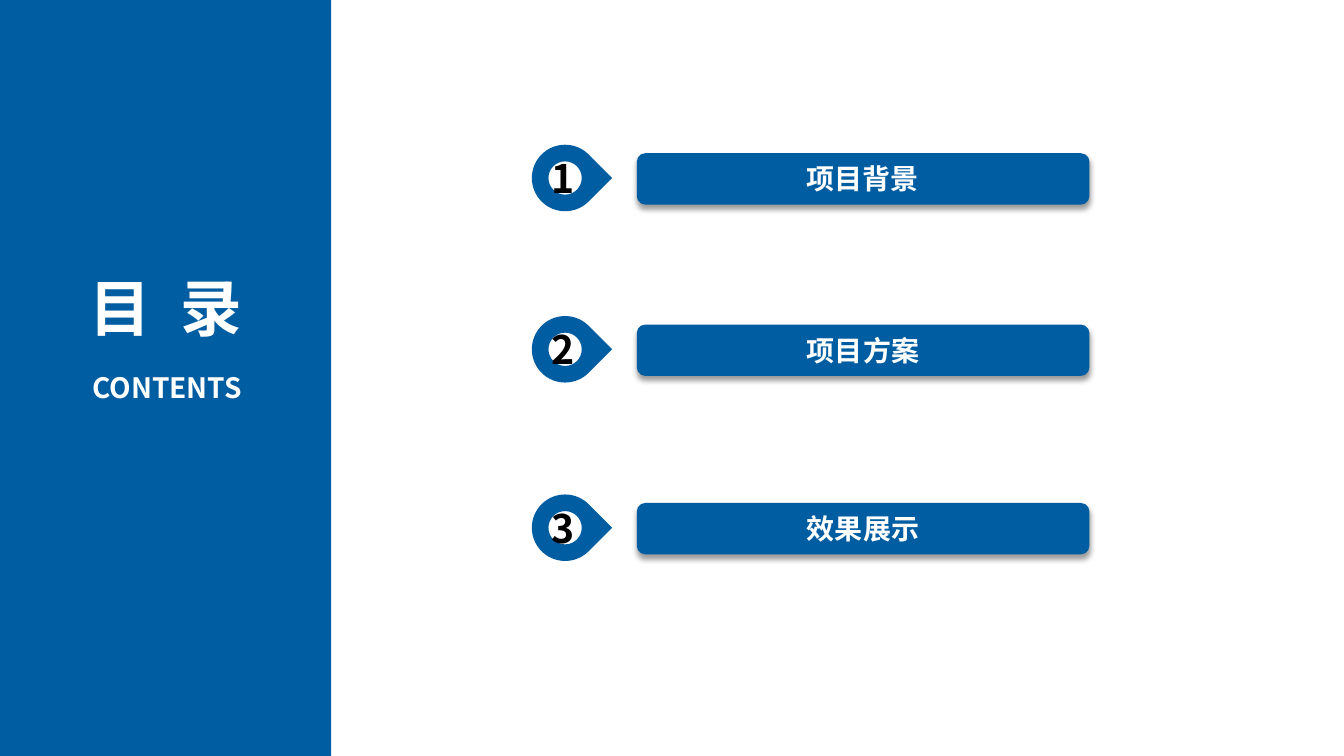
from dataclasses import dataclass
from math import cos, radians, sin, sqrt, tan

from lxml.etree import SubElement
from pptx import Presentation
from pptx.dml.color import RGBColor
from pptx.enum.shapes import MSO_SHAPE as Preset
from pptx.enum.text import MSO_ANCHOR as Anchor, MSO_AUTO_SIZE as AutoSize, PP_ALIGN as Align
from pptx.oxml.ns import qn
from pptx.util import Emu, Inches, Pt

BLUE = RGBColor(0x00, 0x5D, 0xA2)
WHITE = RGBColor(0xFF, 0xFF, 0xFF)
BLACK = RGBColor(0x00, 0x00, 0x00)
FONT = "Noto Sans CJK SC"
SLIDE_WIDTH, SLIDE_HEIGHT = Inches(13.33), Inches(7.5)

# Shares of the slide's size, in percent
BAR_LEFT, BAR_WIDTH, BAR_HEIGHT = 47.38, 33.68, 6.8
MARKER_CENTER, MARKER_RADIUS, MARKER_RISE = 42.05, 4.4, 0.13
NUMBER_LEFT, NUMBER_WIDTH, NUMBER_HEIGHT = 40.28, 3.3, 7.6
TITLE_LEFT, TITLE_WIDTH, TITLE_HEIGHT = 59.26, 9.9, 5.87

# Corners of the marker with its tip down: angle in degrees, distance in radii
OUTLINE = [(-90, 1), (-45, 1), (45, 1), (90, sqrt(2)), (135, 1), (225, 1), (270, 1)]
HOLE = [(angle, 0.5) for angle in range(0, -361, -90)]


@dataclass(frozen=True)
class Chapter:
    number: str
    title: str
    middle: float
    title_in_bar: bool = True


CHAPTERS = [
    Chapter("1", "项目背景", 23.67, title_in_bar=False),
    Chapter("2", "项目方案", 46.33),
    Chapter("3", "效果展示", 69.93),
]


def col(share: float) -> Emu:
    return Emu(round(SLIDE_WIDTH * share / 100))


def row(share: float) -> Emu:
    return Emu(round(SLIDE_HEIGHT * share / 100))


def area(left: float, top: float, width: float, height: float) -> tuple:
    return col(left), row(top), col(width), row(height)


def write(holder, text: str, *, size: float, color: RGBColor = WHITE,
          align: Align = Align.CENTER, anchor: Anchor = Anchor.TOP,
          wrap: bool = True, grow: bool = True, spacing: float = 0) -> None:
    """Put one bold line in a shape; spacing is between characters, in points."""
    frame = holder.text_frame
    frame.word_wrap = wrap
    frame.vertical_anchor = anchor
    if grow:
        frame.auto_size = AutoSize.SHAPE_TO_FIT_TEXT
    paragraph = frame.paragraphs[0]
    paragraph.alignment = align
    run = paragraph.add_run()
    run.text = text
    run.font.size = Pt(size)
    run.font.bold = True
    run.font.color.rgb = color
    run.font.name = FONT
    properties = run._r.get_or_add_rPr()
    SubElement(properties, qn("a:ea"), typeface=FONT)
    if spacing:
        properties.set("spc", str(round(spacing * 100)))


def paint(shape) -> None:
    shape.shadow.inherit = False
    shape.fill.solid()
    shape.fill.fore_color.rgb = BLUE
    shape.line.fill.background()


def cast_shadow(shape) -> None:
    effects = shape.element.spPr.find(qn("a:effectLst"))
    shadow = SubElement(effects, qn("a:outerShdw"), blurRad=str(Pt(4)), dist=str(Pt(3)),
                        dir="5400000", algn="t", rotWithShape="0")
    tone = SubElement(shadow, qn("a:srgbClr"), val=str(BLACK))
    SubElement(tone, qn("a:alpha"), val="40000")


def bend(segment, points: list) -> None:
    """Turn a straight segment of an outline into a Bézier curve."""
    curve = segment.makeelement(qn("a:cubicBezTo"))
    for x, y in points:
        SubElement(curve, qn("a:pt"), x=str(round(x)), y=str(round(y)))
    segment.getparent().replace(segment, curve)


def draw_marker(shapes, middle: float) -> None:
    """Draw a ring whose outline runs out to a point on the right."""
    radius = row(MARKER_RADIUS)
    offset = radius * (sqrt(2) - 1) / 2  # from the ring's centre to the frame's
    center_x, center_y = col(MARKER_CENTER) + offset, row(middle) - offset

    def place(angle: float, distance: float) -> tuple:
        turn = radians(angle)
        return center_x + radius * distance * cos(turn), center_y + radius * distance * sin(turn)

    outline, hole = ([place(*corner) for corner in corners] for corners in (OUTLINE, HOLE))
    builder = shapes.build_freeform(*outline[0])
    builder.add_line_segments(outline[1:], close=True)
    builder.move_to(*hole[0])
    builder.add_line_segments(hole[1:], close=True)
    marker = builder.convert_to_shape()

    sides = [*zip(OUTLINE, OUTLINE[1:]), *zip(HOLE, HOLE[1:])]
    segments = list(marker.element.iter(qn("a:lnTo")))
    for segment, ((start, distance), (end, end_distance)) in zip(segments, sides):
        if distance != end_distance:
            continue
        pull = 4 / 3 * tan(radians(end - start) / 4)
        reach = distance * sqrt(1 + pull ** 2)
        lean = (end - start) / abs(end - start) * angle_of(abs(pull))
        points = [place(start + lean, reach), place(end - lean, reach), place(end, distance)]
        bend(segment, [(x - marker.left, y - marker.top) for x, y in points])
    marker.rotation = 270
    paint(marker)


def angle_of(slope: float) -> float:
    """Angle in degrees whose tangent is the slope."""
    return atan_degrees(slope)


def atan_degrees(slope: float) -> float:
    from math import atan, degrees
    return degrees(atan(slope))


def draw_chapter(slide, chapter: Chapter) -> None:
    shapes = slide.shapes.add_group_shape().shapes
    bar = shapes.add_shape(Preset.ROUNDED_RECTANGLE, *area(
        BAR_LEFT, chapter.middle - BAR_HEIGHT / 2, BAR_WIDTH, BAR_HEIGHT))
    paint(bar)
    cast_shadow(bar)
    marker_middle = chapter.middle - MARKER_RISE
    draw_marker(shapes, marker_middle)
    number = shapes.add_textbox(*area(
        NUMBER_LEFT, marker_middle - NUMBER_HEIGHT / 2, NUMBER_WIDTH, NUMBER_HEIGHT))
    write(number, chapter.number, size=28, color=BLACK, align=Align.LEFT, wrap=False)
    if chapter.title_in_bar:
        write(bar, chapter.title, size=20, anchor=Anchor.MIDDLE, grow=False)
    else:
        title = slide.shapes.add_textbox(*area(
            TITLE_LEFT, chapter.middle - TITLE_HEIGHT / 2, TITLE_WIDTH, TITLE_HEIGHT))
        write(title, chapter.title, size=20, wrap=False)


def draw_side_panel(slide) -> None:
    shapes = slide.shapes
    paint(shapes.add_shape(Preset.RECTANGLE, *area(0, 0, 24.65, 100)))
    heading = shapes.add_textbox(*area(4.2, 35.07, 16.28, 11.2))
    write(heading, "目 录", size=44, spacing=5.5)
    subheading = shapes.add_textbox(*area(5.8, 48.4, 13.28, 5.87))
    write(subheading, "CONTENTS", size=20, wrap=False)


def main() -> None:
    deck = Presentation()
    deck.slide_width, deck.slide_height = SLIDE_WIDTH, SLIDE_HEIGHT
    slide = deck.slides.add_slide(deck.slide_layouts[6])
    draw_side_panel(slide)
    for chapter in CHAPTERS:
        draw_chapter(slide, chapter)
    deck.save("out.pptx")


if __name__ == "__main__":
    main()
